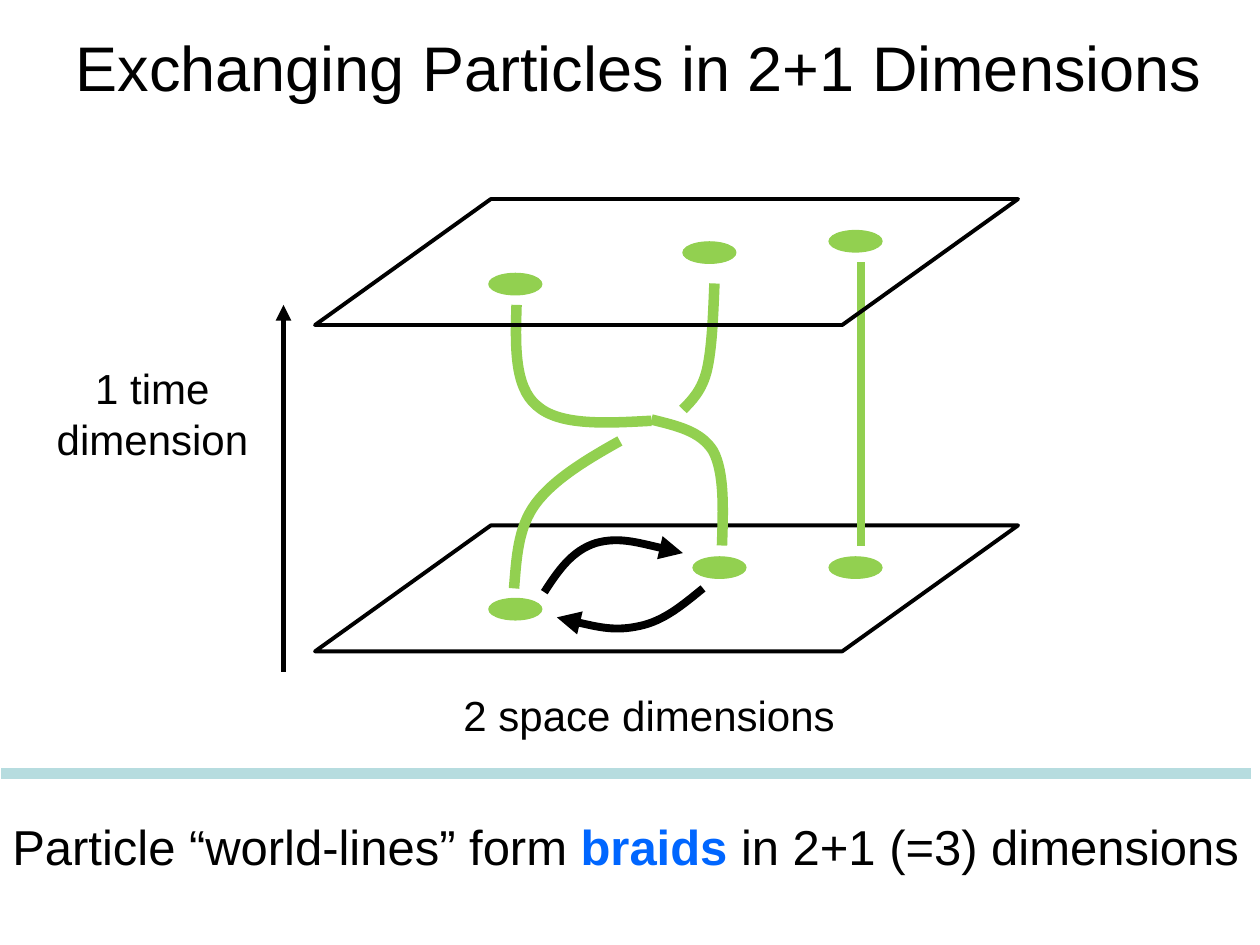
"""Build the slide on exchanging particles in 2+1 dimensions."""
from lxml import etree
from pptx import Presentation
from pptx.dml.color import RGBColor
from pptx.enum.shapes import MSO_CONNECTOR, MSO_SHAPE
from pptx.enum.text import MSO_ANCHOR, MSO_AUTO_SIZE, PP_ALIGN
from pptx.oxml.ns import qn
from pptx.util import Inches, Pt

STRAIGHT = MSO_CONNECTOR.STRAIGHT
OVAL, PARALLELOGRAM = MSO_SHAPE.OVAL, MSO_SHAPE.PARALLELOGRAM
LEFT, CENTER = PP_ALIGN.LEFT, PP_ALIGN.CENTER
MIDDLE, TOP = MSO_ANCHOR.MIDDLE, MSO_ANCHOR.TOP
FIT, NO_FIT = MSO_AUTO_SIZE.SHAPE_TO_FIT_TEXT, MSO_AUTO_SIZE.NONE
COLORS = {name: RGBColor.from_string(value) for name, value in {
    "ink": "000000", "particle": "92D050", "accent": "0066FF", "rule": "B6DCDF",
}.items()}


def style_line(shape, color, width, arrow=False):
    """Set the outline, with an optional arrowhead, and drop the shadow."""
    shape.line.color.rgb = COLORS[color]
    shape.line.width = Pt(width)
    if arrow:
        etree.SubElement(shape.line._get_or_add_ln(), qn("a:tailEnd"), type="triangle")
    etree.SubElement(shape._element.spPr, qn("a:effectLst"))


def write_text(box, paragraphs, size, align, format_values):
    """Fill a box with paragraphs, each a list of (text, color, bold)."""
    frame = box.text_frame
    for name, value in format_values.items():
        setattr(frame, name, value)
    for index, spans in enumerate(paragraphs):
        para = frame.add_paragraph() if index else frame.paragraphs[0]
        para.alignment = align
        for text, color, bold in spans:
            span = para.add_run()
            span.text = text
            span.font.color.rgb = COLORS[color]
            for name, value in {"name": "Arial", "size": Pt(size), "bold": bold}.items():
                setattr(span.font, name, value)


deck = Presentation()
deck.slide_width, deck.slide_height = Inches(10), Inches(7.5)
page = deck.slides.add_slide(deck.slide_layouts[5])
shapes = page.shapes

title = shapes.title
for name, value in {"left": 0.46, "top": 0.11, "width": 9.22, "height": 0.83}.items():
    setattr(title, name, Inches(value))
write_text(title, [[("Exchanging Particles in 2+1 Dimensions", "ink", False)]], 36, CENTER,
           {"vertical_anchor": MIDDLE, "word_wrap": True, "auto_size": NO_FIT})

planes = []
for top in (4.17, 1.58):
    plane = shapes.add_shape(PARALLELOGRAM, Inches(2.5), Inches(top), Inches(5.58), Inches(1))
    plane.adjustments[0] = 1.396
    plane.fill.background()
    style_line(plane, "ink", 2.25)
    planes.append(plane)

curves = [
    ("particle", 6, [(4.08, 4.67), (4.1, 4.43), (4.11, 4.19), (4.25, 4),
                     (4.39, 3.81), (4.65, 3.65), (4.92, 3.5)]),
    ("particle", 6, [(5.73, 4.33), (5.74, 4.04), (5.75, 3.75), (5.66, 3.58),
                     (5.56, 3.42), (5.37, 3.38), (5.17, 3.33)]),
    ("particle", 6, [(5.17, 3.34), (4.8, 3.36), (4.44, 3.38), (4.26, 3.22),
                     (4.08, 3.07), (4.09, 2.74), (4.1, 2.42)]),
    ("particle", 6, [(5.42, 3.25), (5.49, 3.18), (5.57, 3.1), (5.61, 2.94),
                     (5.65, 2.77), (5.66, 2.51), (5.67, 2.25)]),
    ("ink", 4.5, [(4.32, 4.7), (4.43, 4.53), (4.54, 4.37), (4.73, 4.31),
                  (4.91, 4.26), (5.16, 4.33), (5.42, 4.39)]),
    ("ink", 4.5, [(5.58, 4.67), (5.42, 4.8), (5.27, 4.93), (5.07, 4.97),
                  (4.88, 5.01), (4.65, 4.96), (4.42, 4.9)]),
]
for color, width, points in curves:
    start, *rest = [(Inches(x), Inches(y)) for x, y in points]
    builder = shapes.build_freeform(*start)
    builder.add_line_segments(rest, close=False)
    curve = builder.convert_to_shape()
    outline = next(curve._element.iter(qn("a:path")))
    segments = outline.findall(qn("a:lnTo"))
    for first in range(0, len(segments), 3):
        bezier = etree.SubElement(outline, qn("a:cubicBezTo"))
        for segment in segments[first:first + 3]:
            bezier.append(segment[0])
            outline.remove(segment)
    curve.fill.background()
    style_line(curve, color, width, arrow=color == "ink")

for left, top in [(3.88, 4.75), (5.5, 4.42), (6.58, 4.42),
                  (3.88, 2.17), (5.42, 1.92), (6.58, 1.83)]:
    particle = shapes.add_shape(OVAL, Inches(left), Inches(top), Inches(0.42), Inches(0.17))
    particle.fill.solid()
    particle.fill.fore_color.rgb = COLORS["particle"]
    style_line(particle, "particle", 0.75)

for x1, y1, x2, y2, color, width, arrow in [
    (2.25, 5.33, 2.25, 2.42, "ink", 3, True),
    (6.83, 3.42, 6.83, 2.08, "particle", 4.5, False),
    (6.83, 4.33, 6.83, 3.33, "particle", 4.5, False),
    (0.01, 6.14, 9.93, 6.14, "rule", 6, False),
]:
    line = shapes.add_connector(STRAIGHT, Inches(x1), Inches(y1), Inches(x2), Inches(y2))
    style_line(line, color, width, arrow)

top_plane = planes[1]._element
top_plane.getparent().append(top_plane)

for left, top, width, height, size, align, wrap, paragraphs in [
    (3.58, 5.42, 3.18, 0.51, 24, LEFT, False, [[("2 space dimensions", "ink", False)]]),
    (0.34, 2.83, 1.74, 0.91, 24, CENTER, False,
     [[("1 time", "ink", False)], [("dimension", "ink", False)]]),
    (0, 6.43, 10, 0.57, 28, LEFT, True,
     [[("Particle “world-lines” form ", "ink", False), ("braids", "accent", True),
       (" in 2+1 (=3) dimensions", "ink", False)]]),
]:
    box = shapes.add_textbox(Inches(left), Inches(top), Inches(width), Inches(height))
    write_text(box, paragraphs, size, align,
               {"vertical_anchor": TOP, "word_wrap": wrap, "auto_size": FIT})

deck.save("out.pptx")
